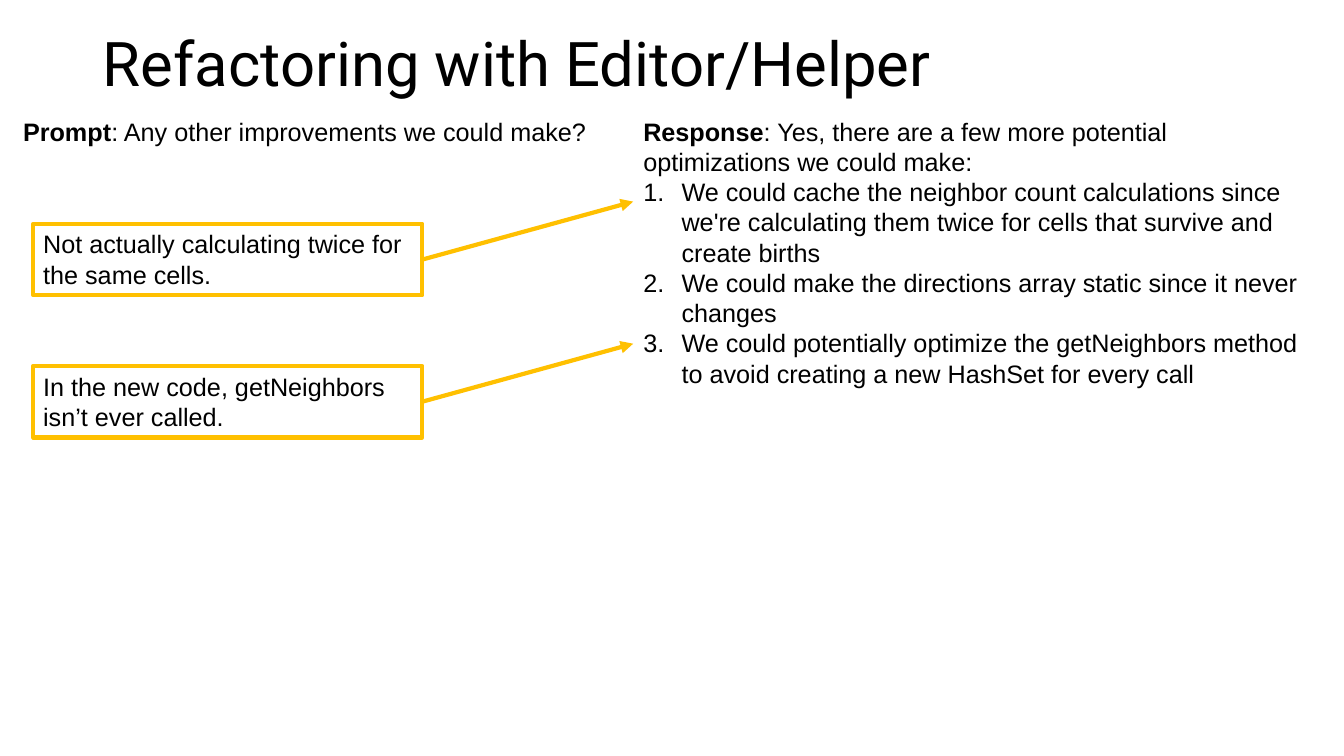
from dataclasses import dataclass

from lxml import etree
from pptx import Presentation
from pptx.dml.color import RGBColor
from pptx.enum.shapes import MSO_CONNECTOR, MSO_SHAPE
from pptx.enum.text import MSO_ANCHOR, MSO_AUTO_SIZE, PP_ALIGN
from pptx.oxml.ns import qn
from pptx.util import Pt

PX = 9144  # EMU per px, 100 px to the inch
RECTANGLE = MSO_SHAPE.RECTANGLE
STRAIGHT = MSO_CONNECTOR.STRAIGHT
LEFT = PP_ALIGN.LEFT
TOP, MIDDLE = MSO_ANCHOR.TOP, MSO_ANCHOR.MIDDLE
NO_FIT = MSO_AUTO_SIZE.NONE
RIGHT_SIDE = 3


@dataclass(frozen=True)
class Theme:
    ink: str = "000000"
    accent: str = "FFC000"
    title_font: str = "Roboto"
    body_font: str = "Arial"
    title_size: int = 44
    body_size: int = 18
    line_width: int = 3
    list_indent: int = 38


def write(para, text, *, font, size, color, bold=False):
    """Add one formatted span to a paragraph."""
    span = para.add_run()
    span.text = text
    span.font.name = font
    span.font.size = Pt(size)
    span.font.bold = bold
    span.font.color.rgb = RGBColor.from_string(color)


class SlideBuilder:
    def __init__(self, page, theme):
        self.page = page
        self.theme = theme

    def place(self, shape, left, top, width, height):
        shape.left, shape.top = left * PX, top * PX
        shape.width, shape.height = width * PX, height * PX

    def prepare(self, shape, anchor=TOP):
        frame = shape.text_frame
        frame.word_wrap = True
        frame.auto_size = NO_FIT
        frame.vertical_anchor = anchor
        return frame

    def align(self, para):
        para.alignment = LEFT
        para.space_before = Pt(0)

    def body_text(self, para, text, bold=False):
        write(para, text, font=self.theme.body_font, size=self.theme.body_size,
              color=self.theme.ink, bold=bold)

    def labelled(self, para, label, text):
        self.align(para)
        self.body_text(para, label, bold=True)
        self.body_text(para, ": " + text)

    def indent(self, para, numbered):
        props = para._p.get_or_add_pPr()
        margin = self.theme.list_indent * PX if numbered else 0
        props.set("marL", str(margin))
        props.set("indent", str(-margin))
        if numbered:
            color = etree.SubElement(props, qn("a:buClr"))
            etree.SubElement(color, qn("a:srgbClr"), val=self.theme.ink)
            etree.SubElement(props, qn("a:buFont"), typeface=self.theme.body_font)
            etree.SubElement(props, qn("a:buAutoNum"), type="arabicPeriod")
        else:
            etree.SubElement(props, qn("a:buNone"))

    def title(self, text, *bounds):
        shape = self.page.shapes.title
        self.place(shape, *bounds)
        para = self.prepare(shape, MIDDLE).paragraphs[0]
        self.align(para)
        para.line_spacing = 0.9
        write(para, text, font=self.theme.title_font,
              size=self.theme.title_size, color=self.theme.ink)

    def prompt(self, label, text, left, top, width, height):
        box = self.page.shapes.add_textbox(
            left * PX, top * PX, width * PX, height * PX)
        self.labelled(self.prepare(box).paragraphs[0], label, text)

    def response(self, label, text, items, *bounds):
        shape = self.page.placeholders[1]
        self.place(shape, *bounds)
        frame = self.prepare(shape)
        intro = frame.paragraphs[0]
        self.labelled(intro, label, text)
        self.indent(intro, numbered=False)
        for item in items:
            para = frame.add_paragraph()
            self.align(para)
            self.indent(para, numbered=True)
            self.body_text(para, item)

    def outline(self, line):
        line.color.rgb = RGBColor.from_string(self.theme.accent)
        line.width = Pt(self.theme.line_width)

    def note(self, text, left, top, width, height):
        box = self.page.shapes.add_shape(
            RECTANGLE, left * PX, top * PX, width * PX, height * PX)
        box.shadow.inherit = False
        box.fill.background()
        self.outline(box.line)
        para = self.prepare(box).paragraphs[0]
        self.align(para)
        self.body_text(para, text)
        return box

    def arrow(self, box, end_x, end_y):
        """Draw an arrow from the right side of a box to a point."""
        arrow = self.page.shapes.add_connector(
            STRAIGHT, box.left + box.width, box.top + box.height // 2,
            end_x * PX, end_y * PX)
        arrow.begin_connect(box, RIGHT_SIDE)
        self.outline(arrow.line)
        etree.SubElement(arrow.line._get_or_add_ln(), qn("a:tailEnd"), type="triangle")
        etree.SubElement(arrow._element.spPr, qn("a:effectLst"))


def main():
    deck = Presentation()
    deck.slide_width, deck.slide_height = 1333 * PX, 750 * PX
    page = deck.slides.add_slide(deck.slide_layouts[1])
    builder = SlideBuilder(page, Theme())

    # Title and conversation
    builder.title("Refactoring with Editor/Helper", 92, 21, 1150, 90)
    builder.prompt("Prompt", "Any other improvements we could make?",
                   13, 111, 592, 40)
    builder.response(
        "Response",
        "Yes, there are a few more potential optimizations we could make:",
        ["We could cache the neighbor count calculations since we're "
         "calculating them twice for cells that survive and create births",
         "We could make the directions array static since it never changes",
         "We could potentially optimize the getNeighbors method to avoid "
         "creating a new HashSet for every call"],
        628, 110, 692, 283)

    # Notes pointing at the list items they comment on
    notes = ["Not actually calculating twice for the same cells.",
             "In the new code, getNeighbors isn’t ever called."]
    for row, text in enumerate(notes):
        offset = row * 141
        box = builder.note(text, 33, 222 + offset, 386, 71)
        builder.arrow(box, 628, 200 + offset)

    deck.save("out.pptx")


if __name__ == "__main__":
    main()
